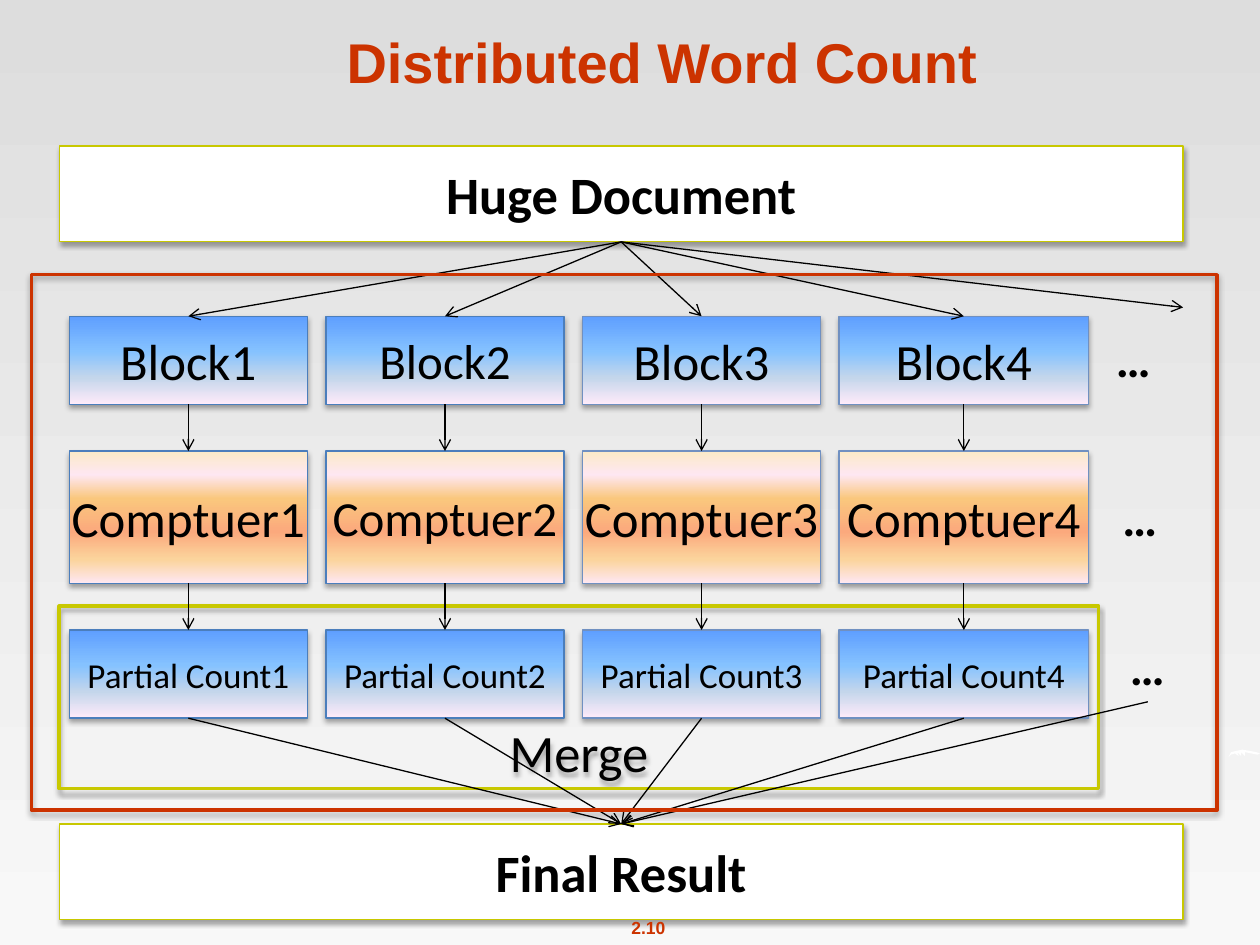
import dataclasses

import pptx
import pptx.dml.color
import pptx.enum.shapes
import pptx.enum.text
import pptx.oxml
import pptx.oxml.ns
import pptx.util

Inches, Pt = pptx.util.Inches, pptx.util.Pt
RGB = pptx.dml.color.RGBColor.from_string
ANCHOR = pptx.enum.text.MSO_ANCHOR
CENTER = pptx.enum.text.PP_ALIGN.CENTER
NS = pptx.oxml.ns.nsdecls("a")
qn = pptx.oxml.ns.qn


@dataclasses.dataclass(frozen=True)
class Theme:
    heading_font: str = "Arial"
    body_font: str = "Calibri"
    red: str = "CC3300"
    olive: str = "C8C800"
    black: str = "000000"
    white: str = "FFFFFF"
    column_edges: tuple = ("4B7EBC", "4B7EBC", "7090C1", "7090C1")
    backdrop: tuple = ("DDDDDD", "F8F8F8")
    blue: tuple = ((0, "5E9EFF"), (40, "85C2FF"), (70, "C4D6EB"), (100, "FFEBFA"))
    orange: tuple = ((0, "FBEAC7"), (18, "FEE7F2"), (36, "FAC77D"),
                     (61, "FBA97D"), (82, "FBD49C"), (100, "FEE7F2"))
    title_size: int = 32
    banner_size: int = 30
    block_size: int = 29
    ellipsis_size: int = 28
    count_size: int = 20
    page_size: int = 10
    thin: float = 0.75
    thick: float = 2


theme = Theme()
deck = pptx.Presentation()
deck.slide_width, deck.slide_height = Inches(10), Inches(7.5)
slide = deck.slides.add_slide(deck.slide_layouts[5])
shapes = slide.shapes


def add_box(area, edge, weight, fill=None, label="", size=theme.banner_size,
            bold=False, anchor=ANCHOR.MIDDLE):
    """Add a shadowed rectangle; fill is a colour, a tuple of gradient stops or None."""
    box = shapes.add_shape(pptx.enum.shapes.MSO_SHAPE.RECTANGLE, *map(Inches, area))
    properties = box._element.spPr
    if fill is None:
        box.fill.background()
    elif isinstance(fill, str):
        box.fill.solid()
        box.fill.fore_color.rgb = RGB(fill)
    else:
        box.fill.gradient()
        box.fill.gradient_angle = 270
        stops = properties.find(".//" + qn("a:gsLst"))
        stops[:] = [pptx.oxml.parse_xml(
            f'<a:gs {NS} pos="{share * 1000}"><a:srgbClr val="{colour}"/></a:gs>')
            for share, colour in fill]
    box.line.color.rgb = RGB(edge)
    box.line.width = Pt(weight)
    properties.append(pptx.oxml.parse_xml(
        f'<a:effectLst {NS}><a:outerShdw blurRad="{Pt(3.1)}" dist="{Pt(1.8)}" '
        'dir="5400000" rotWithShape="0"><a:srgbClr val="000000">'
        '<a:alpha val="35000"/></a:srgbClr></a:outerShdw></a:effectLst>'))
    if label:
        frame = box.text_frame
        frame.margin_left = frame.margin_right = 0
        frame.vertical_anchor = anchor
        frame.paragraphs[0].alignment = CENTER
        run = frame.paragraphs[0].add_run()
        run.text = label
        run.font.name, run.font.size, run.font.bold = theme.body_font, Pt(size), bold
        run.font.color.rgb = RGB(theme.black)
    return box


def add_arrow(start, end):
    """Run from a box's bottom to a box's top; either end may be a point instead."""
    ends = [tuple(map(Inches, e)) if isinstance(e, tuple) else (0, 0) for e in (start, end)]
    arrow = shapes.add_connector(
        pptx.enum.shapes.MSO_CONNECTOR.STRAIGHT, *ends[0], *ends[1])
    if not isinstance(start, tuple):
        arrow.begin_connect(start, 2)
    if not isinstance(end, tuple):
        arrow.end_connect(end, 0)
    arrow.line.color.rgb = RGB(theme.black)
    arrow.line.width = Pt(theme.thin)
    arrow.line._get_or_add_ln().append(
        pptx.oxml.parse_xml(f'<a:tailEnd {NS} type="arrow"/>'))
    arrow._element.spPr.append(pptx.oxml.parse_xml(f"<a:effectLst {NS}/>"))


# Background and its small white stroke at the right edge
backdrop = slide.background.fill
backdrop.gradient()
backdrop.gradient_angle = 270
for stop, colour in zip(backdrop.gradient_stops, theme.backdrop):
    stop.color.rgb = RGB(colour)

# Points in hundredths of an inch
stroke_points = [(975, 601), (977, 597), (981, 596), (986, 595), (992, 596),
                 (997, 597), (1000, 598), (998, 599), (993, 598), (988, 597),
                 (988, 600), (985, 597), (985, 600), (982, 597), (983, 600),
                 (980, 598), (977, 599)]
outline = shapes.build_freeform(*stroke_points[0], scale=Inches(0.01))
outline.add_line_segments(stroke_points[1:], close=True)
stroke = outline.convert_to_shape()
stroke.shadow.inherit = False
stroke.fill.solid()
stroke.fill.fore_color.rgb = RGB(theme.white)
stroke.line.fill.background()

# Title
title = shapes.title
title.left, title.top, title.width, title.height = map(Inches, (0.84, 0.13, 8.83, 0.67))
title.text_frame.vertical_anchor = ANCHOR.BOTTOM
title.text_frame.paragraphs[0].alignment = CENTER
heading = title.text_frame.paragraphs[0].add_run()
heading.text = "Distributed Word Count"
heading.font.name, heading.font.size = theme.heading_font, Pt(theme.title_size)
heading.font.bold = True
heading.font.color.rgb = RGB(theme.red)

# Banners and merge area
banner_left, banner_width, banner_height = 0.47, 8.92, 0.76
add_box((banner_left, 4.81, 8.25, 1.45), theme.olive, theme.thick,
        label="Merge", anchor=ANCHOR.BOTTOM)
document, result = [
    add_box((banner_left, top, banner_width, banner_height), theme.olive, theme.thin,
            theme.white, label, bold=True)
    for top, label in ((1.16, "Huge Document"), (6.54, "Final Result"))]

# Grid: one column per machine, one row per stage
column_left, last_column_left, row_gap = 0.55, 6.66, 0.37
column_widths = (1.89, 1.89, 1.89, 1.98)
column_step = (last_column_left - column_left) / (len(column_widths) - 1)
stages = (("Block", 0.7, theme.blue, theme.block_size),
          ("Comptuer", 1.05, theme.orange, theme.block_size),
          ("Partial Count", 0.7, theme.blue, theme.count_size))
rows = []
row_top = 2.51
for stage, height, fill, size in stages:
    rows.append([
        add_box((column_left + i * column_step, row_top, width, height),
                theme.column_edges[i], theme.thin, fill, f"{stage}{i + 1}",
                size - 1 if i == 1 and size == theme.block_size else size)
        for i, width in enumerate(column_widths)])
    row_top += height + row_gap

# Arrows down each column, fanning out at the top and in at the bottom
for column in zip(*rows):
    chain = (document, *column, result)
    for upper, lower in zip(chain, chain[1:]):
        add_arrow(upper, lower)
add_arrow(document, (9.39, 2.44))
add_arrow((9.11, 5.57), result)

# Ellipses beside the rows, and the page number
notes = [((left, top, 0.55, 0.57), "…", theme.body_font, theme.ellipsis_size, theme.black, 0)
         for left, top in ((8.72, 2.56), (8.77, 3.82), (8.83, 5))]
notes.append(((4.9, 7.23, 0.49, 0.27), "2.10", theme.heading_font,
              theme.page_size, theme.red, theme.page_size / 2))
for area, words, font, size, colour, space in notes:
    note = shapes.add_textbox(*map(Inches, area))
    note.text_frame.word_wrap = False
    note.text_frame.auto_size = pptx.enum.text.MSO_AUTO_SIZE.SHAPE_TO_FIT_TEXT
    paragraph = note.text_frame.paragraphs[0]
    paragraph.alignment = CENTER
    paragraph.space_before = Pt(space)
    run = paragraph.add_run()
    run.text = words
    run.font.name, run.font.size, run.font.bold = font, Pt(size), True
    run.font.color.rgb = RGB(colour)

# Frame around the distributed part
add_box((0.25, 2.18, 9.41, 4.25), theme.red, theme.thick)

deck.save("out.pptx")
